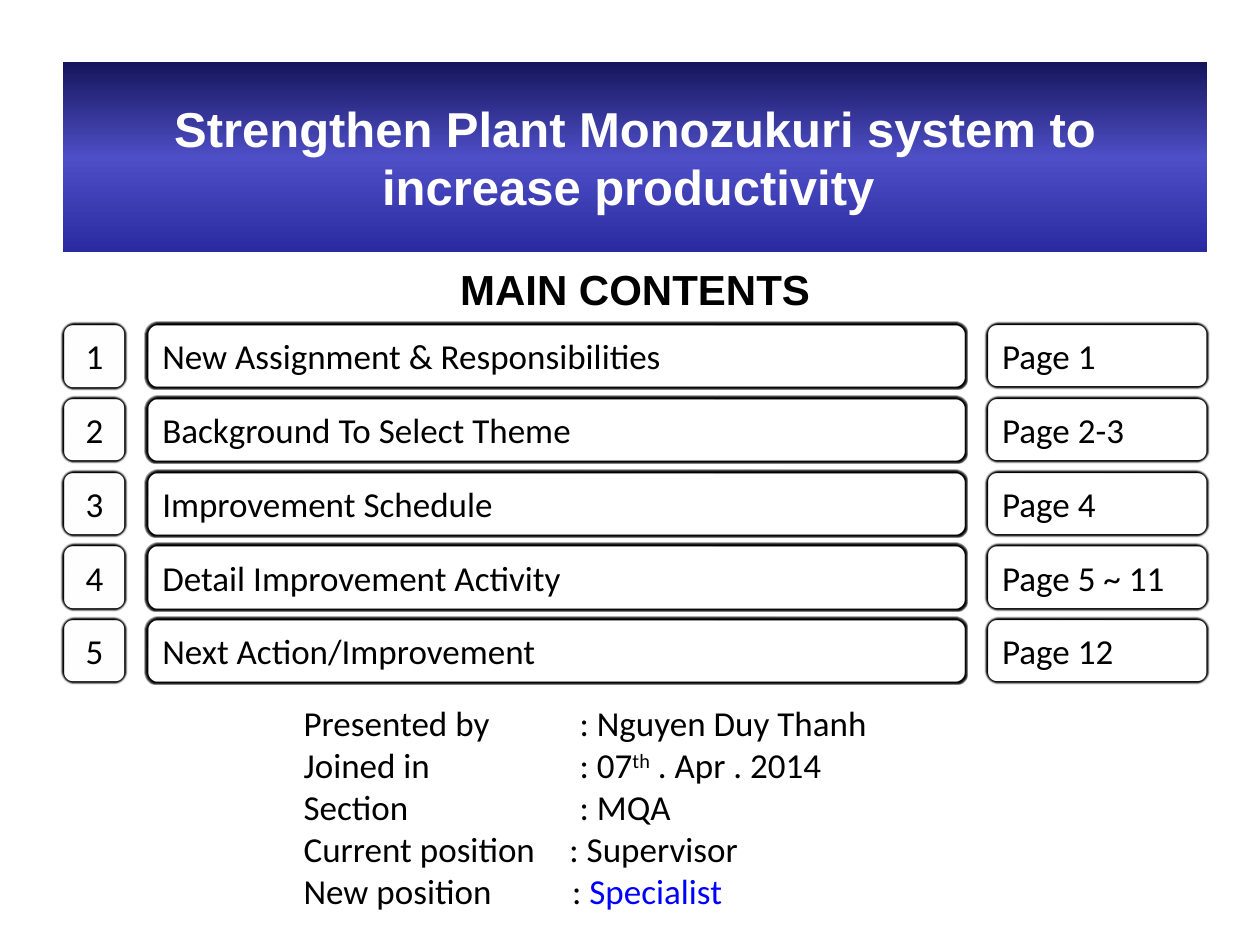
from lxml.etree import SubElement
from pptx import Presentation
from pptx.dml.color import RGBColor
from pptx.enum.shapes import MSO_SHAPE
from pptx.enum.text import MSO_ANCHOR, MSO_AUTO_SIZE, PP_ALIGN
from pptx.oxml.ns import qn
from pptx.util import Inches, Pt

CONTENTS = [
    ("New Assignment & Responsibilities", "Page 1"),
    ("Background To Select Theme", "Page 2-3"),
    ("Improvement Schedule", "Page 4"),
    ("Detail Improvement Activity", "Page 5 ~ 11"),
    ("Next Action/Improvement", "Page 12"),
]
# Label, tab stop in inches, then (text, colour, superscript) spans.
PRESENTER = [
    ("Presented by", 2.19, [("Nguyen Duy Thanh", "000000", False)]),
    ("Joined in", 2.19, [("07", "000000", False), ("th", "000000", True),
                         (" . Apr . 2014", "000000", False)]),
    ("Section", 2.19, [("MQA", "000000", False)]),
    ("Current position", 2.11, [("Supervisor", "000000", False)]),
    ("New position", 2.13, [("Specialist", "0000FF", False)]),
]
BANNER_STOPS = [(0, "15155C"), (50, "4E4EC6"), (100, "2B2BA1")]


def color(value):
    return RGBColor.from_string(value)


def format_font(font, size, name="Calibri", fill="000000", bold=False):
    font.size = Pt(size)
    font.name = name
    font.bold = bold
    font.color.rgb = color(fill)


def place(shape, left, top, width, height):
    shape.left, shape.top = Inches(left), Inches(top)
    shape.width, shape.height = Inches(width), Inches(height)


def add_banner(page, left, top, width, height):
    """Turn the title placeholder into a rounded gradient banner."""
    banner = page.shapes.title
    place(banner, left, top, width, height)
    properties = banner._element.spPr
    geometry = SubElement(properties, qn("a:prstGeom"), prst="roundRect")
    adjustments = SubElement(geometry, qn("a:avLst"))
    SubElement(adjustments, qn("a:gd"), name="adj", fmla="val 9900")
    gradient = SubElement(properties, qn("a:gradFill"), rotWithShape="1")
    stops = SubElement(gradient, qn("a:gsLst"))
    for percent, value in BANNER_STOPS:
        stop = SubElement(stops, qn("a:gs"), pos=str(percent * 1000))
        SubElement(stop, qn("a:srgbClr"), val=value)
    SubElement(gradient, qn("a:lin"), ang="5400000", scaled="0")

    frame = banner.text_frame
    frame.text = "Strengthen Plant Monozukuri system to increase productivity "
    frame.word_wrap = True
    frame.auto_size = MSO_AUTO_SIZE.NONE
    frame.vertical_anchor = MSO_ANCHOR.MIDDLE
    para = frame.paragraphs[0]
    para.alignment = PP_ALIGN.CENTER
    format_font(para.runs[0].font, 28, "Arial", "FFFFFF", True)


def add_heading(page, left, top, width, height):
    box = page.shapes.add_textbox(0, 0, 0, 0)
    place(box, left, top, width, height)
    frame = box.text_frame
    frame.text = "MAIN CONTENTS"
    frame.word_wrap = False
    frame.vertical_anchor = MSO_ANCHOR.MIDDLE
    para = frame.paragraphs[0]
    para.alignment = PP_ALIGN.CENTER
    format_font(para.runs[0].font, 24, "Arial", bold=True)


def add_cell(page, text, alignment, left, top, width, height):
    """Add one rounded, soft-edged box of the contents list."""
    cell = page.shapes.add_shape(MSO_SHAPE.ROUNDED_RECTANGLE, 0, 0, 0, 0)
    place(cell, left, top, width, height)
    cell.fill.solid()
    cell.fill.fore_color.rgb = color("FFFFFF")
    cell.line.color.rgb = color("000000")
    cell.line.width = Pt(2.25)
    cell.shadow.inherit = False
    effects = cell._element.spPr.find(qn("a:effectLst"))
    SubElement(effects, qn("a:softEdge"), rad=str(Pt(1)))

    frame = cell.text_frame
    frame.text = text
    frame.word_wrap = True
    frame.vertical_anchor = MSO_ANCHOR.MIDDLE
    para = frame.paragraphs[0]
    para.alignment = alignment
    format_font(para.runs[0].font, 20)


def add_contents(page, left, top, width, height):
    number_width, page_width, gap, row_height = 0.5, 1.75, 0.165, 0.51
    topic_width = width - number_width - page_width - 2 * gap
    topic_left = left + number_width + gap
    page_left = left + width - page_width
    pitch = (height - row_height) / (len(CONTENTS) - 1)
    for index, (topic, pages) in enumerate(CONTENTS):
        row_top = top + index * pitch
        columns = [
            (str(index + 1), PP_ALIGN.CENTER, left, number_width),
            (topic, PP_ALIGN.LEFT, topic_left, topic_width),
            (pages, PP_ALIGN.LEFT, page_left, page_width),
        ]
        for text, alignment, cell_left, cell_width in columns:
            add_cell(page, text, alignment,
                     cell_left, row_top, cell_width, row_height)


def add_presenter(page, left, top, width, height):
    box = page.shapes.add_textbox(0, 0, 0, 0)
    place(box, left, top, width, height)
    frame = box.text_frame
    frame.word_wrap = True
    frame.margin_left = Inches(0.08)
    frame.margin_top = frame.margin_right = frame.margin_bottom = 0
    for index, (label, stop, spans) in enumerate(PRESENTER):
        para = frame.add_paragraph() if index else frame.paragraphs[0]
        tabs = SubElement(para._p.get_or_add_pPr(), qn("a:tabLst"))
        SubElement(tabs, qn("a:tab"), pos=str(Inches(stop)), algn="l")
        for text, fill, raised in [(f"{label}\t: ", "000000", False), *spans]:
            span = para.add_run()
            span.text = text
            format_font(span.font, 20, fill=fill)
            if raised:
                span.font._element.set("baseline", "30000")


def main():
    deck = Presentation()
    deck.slide_width, deck.slide_height = Inches(10), Inches(7.5)
    page = deck.slides.add_slide(deck.slide_layouts[5])
    add_banner(page, 0.5, 0.49, 9.08, 1.51)
    add_heading(page, 3.54, 2.06, 3, 0.47)
    add_contents(page, 0.5, 2.57, 9.08, 2.85)
    add_presenter(page, 2.33, 5.57, 6.65, 1.68)
    deck.save("out.pptx")


if __name__ == "__main__":
    main()
